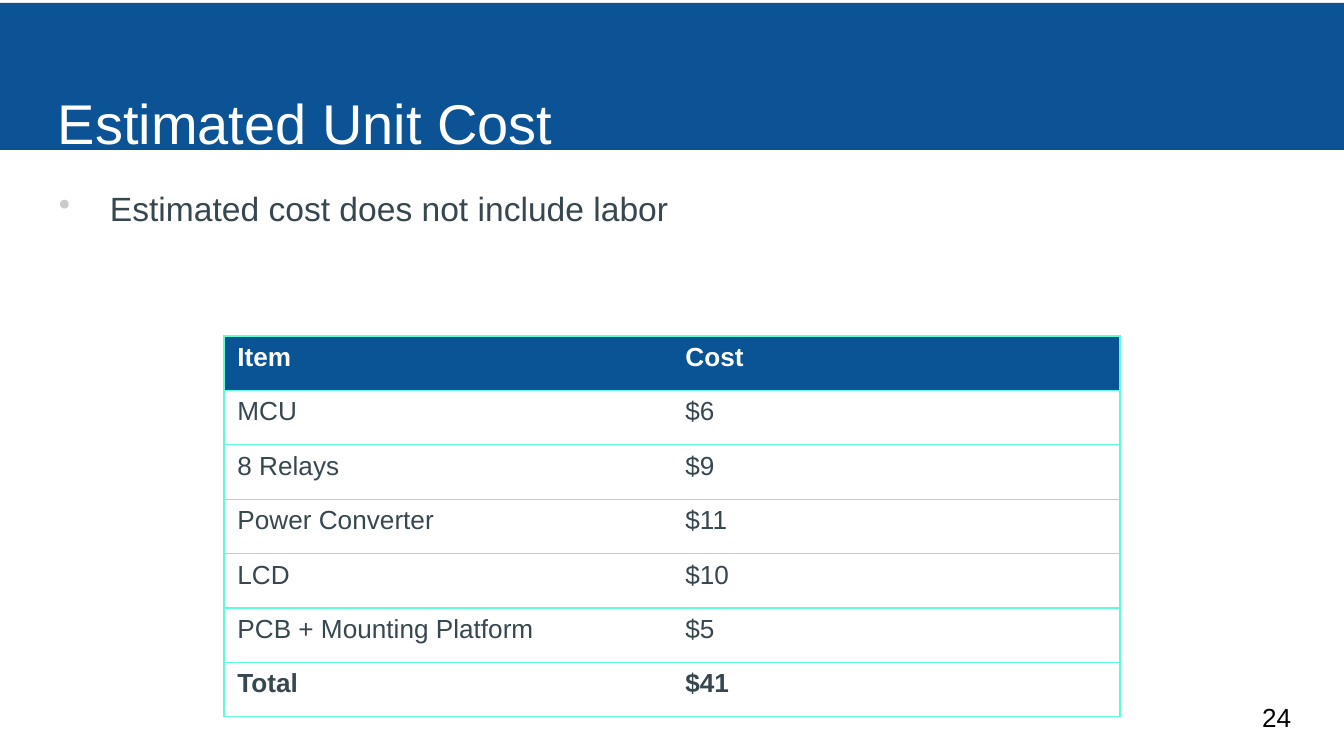
from lxml.etree import SubElement as Sub
from pptx import Presentation
from pptx.dml.color import RGBColor
from pptx.enum.shapes import MSO_SHAPE as Shape
from pptx.enum.text import MSO_ANCHOR as Anchor
from pptx.oxml.ns import qn
from pptx.util import Emu, Pt

SCALE = 914400 / 134.4
FONT = "Arial"
BLUE, HEAD, MINT = "0B5394", "0A5394", "5EFDD7"
WHITE, BLACK, SLATE, GREY = "FFFFFF", "000000", "37474F", "CACACA"
ROWS = [
    ("Item", "Cost"),
    ("MCU", "$6"),
    ("8 Relays", "$9"),
    ("Power Converter", "$11"),
    ("LCD", "$10"),
    ("PCB + Mounting Platform", "$5"),
    ("Total", "$41"),
]


def px(n):
    return Emu(round(n * SCALE))


def rgb(code):
    return RGBColor.from_string(code)


def write(frame, text, size=14, color=SLATE, bold=False):
    para = frame.paragraphs[0]
    run = para.add_run()
    run.text = text
    font = run.font
    font.name, font.size, font.bold = FONT, Pt(size), bold
    font.color.rgb = rgb(color)
    return para


def inset(frame, left=13, top=13, right=13, bottom=13):
    frame.word_wrap = True
    frame.margin_left, frame.margin_top = px(left), px(top)
    frame.margin_right, frame.margin_bottom = px(right), px(bottom)


def add_band(slide, text):
    band = slide.shapes.add_shape(Shape.RECTANGLE, 0, px(3), px(1344), px(147))
    band.shadow.inherit = False
    band.fill.solid()
    band.fill.fore_color.rgb = rgb(BLUE)
    band.line.fill.background()
    frame = band.text_frame
    inset(frame, left=58, top=86, bottom=0)
    frame.vertical_anchor = Anchor.TOP
    para = write(frame, text, size=30, color=WHITE)
    para.alignment = 1


def add_text(slide, box, text, anchor=Anchor.TOP, **style):
    frame = slide.shapes.add_textbox(*map(px, box)).text_frame
    inset(frame)
    frame.vertical_anchor = anchor
    return write(frame, text, **style)


def add_bullet(para, indent):
    props = para._p.get_or_add_pPr()
    props.set("marL", str(px(indent)))
    props.set("indent", str(-px(indent)))
    tint = Sub(props, qn("a:buClr"))
    Sub(tint, qn("a:srgbClr"), val=GREY)
    Sub(props, qn("a:buChar"), char="•")
    para.line_spacing = 1.15
    para.space_after = Pt(16)


def set_edge(cell, side, color):
    line = Sub(cell._tc.get_or_add_tcPr(), qn(f"a:ln{side}"), w=str(Pt(0.75)))
    if color:
        Sub(Sub(line, qn("a:solidFill")), qn("a:srgbClr"), val=color)
    else:
        Sub(line, qn("a:noFill"))


def add_costs(slide, box):
    table = slide.shapes.add_table(len(ROWS), 2, *map(px, box)).table
    table.first_row = table.horz_banding = False
    last = len(ROWS) - 1
    for r, row in enumerate(ROWS):
        for c, text in enumerate(row):
            cell = table.cell(r, c)
            # Rules run across and around, with none between the columns
            for side, color in (("L", None if c else MINT),
                                ("R", MINT if c else None),
                                ("T", MINT), ("B", MINT)):
                set_edge(cell, side, color)
            if r == 0:
                cell.fill.solid()
                cell.fill.fore_color.rgb = rgb(HEAD)
            else:
                cell.fill.background()
            write(cell.text_frame, text, color=SLATE if r else WHITE,
                  bold=r in (0, last))


def main():
    deck = Presentation()
    deck.slide_width, deck.slide_height = px(1344), px(756)
    slide = deck.slides.add_slide(deck.slide_layouts[6])

    # Title band
    add_band(slide, "Estimated Unit Cost")
    # Page number
    add_text(slide, (1249, 688, 81, 58), "24", anchor=Anchor.MIDDLE,
             color=BLACK)
    # Cost table
    add_costs(slide, (224, 336, 896, 381))
    # Remark
    note = add_text(slide, (46, 169, 1253, 254),
                    "Estimated cost does not include labor", size=18)
    add_bullet(note, 51)

    deck.save("out.pptx")


if __name__ == "__main__":
    main()
